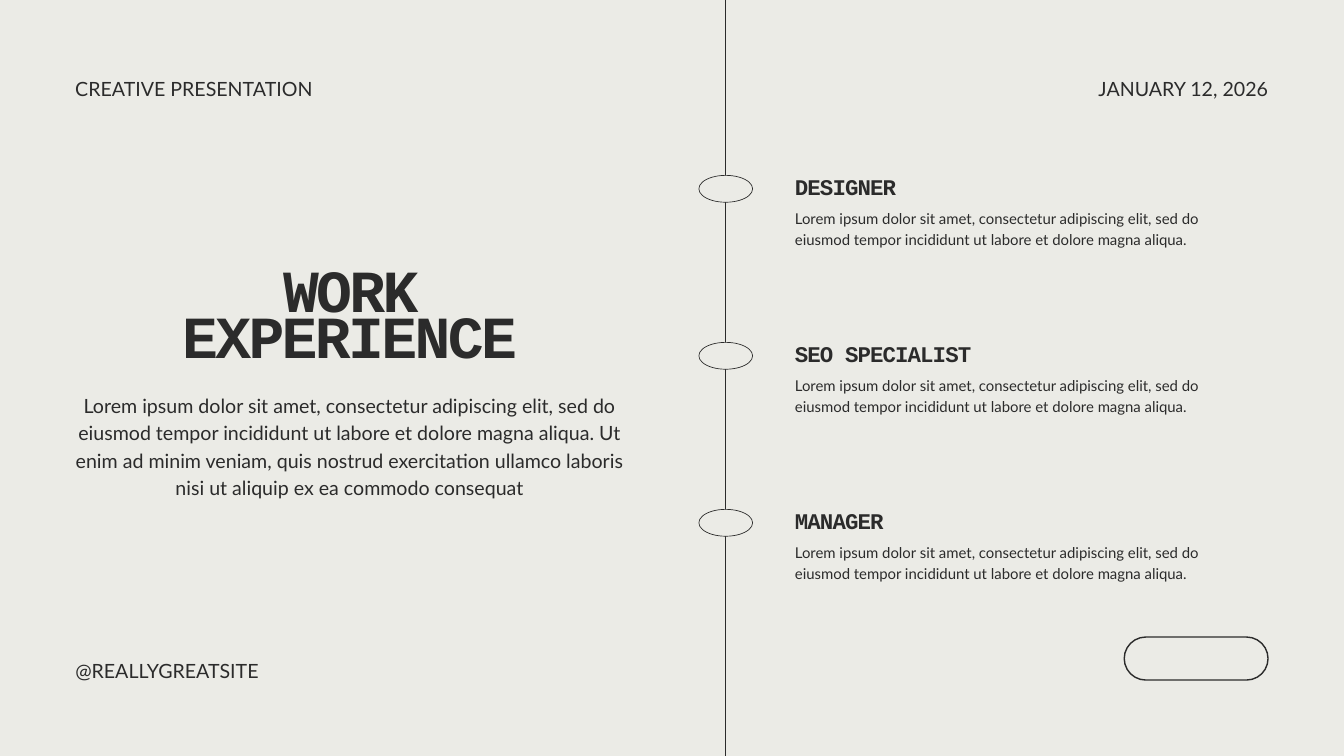
from dataclasses import dataclass

import pptx
import pptx.dml.color
import pptx.enum.shapes
import pptx.enum.text
import pptx.oxml.ns
import pptx.util
from lxml import etree
from pptx.util import Inches

INK = "2B2B2B"
PAPER = "EBEBE6"
ALIGN = pptx.enum.text.PP_ALIGN
SHAPE = pptx.enum.shapes.MSO_SHAPE
LOREM = (
    "Lorem ipsum dolor sit amet, consectetur adipiscing elit, "
    "sed do eiusmod tempor incididunt ut labore et dolore magna aliqua."
)
AXIS_X = 10.8
FIRST_Y = 2.61
STEP_Y = 2.485
JOB_X = 11.83


@dataclass(frozen=True)
class Box:
    x: float
    y: float
    w: float
    h: float

    def lengths(self) -> tuple:
        return Inches(self.x), Inches(self.y), Inches(self.w), Inches(self.h)


@dataclass(frozen=True)
class Style:
    size: float
    leading: float
    font: str = "Lato"
    bold: bool = False
    spacing: float = 0


@dataclass(frozen=True)
class Label:
    text: str
    box: Box
    align: ALIGN = ALIGN.LEFT


LARGE = Style(21, 29.4)
SMALL = Style(16, 22.4)
HEADING = Style(24, 18.7, "Courier New", True, -1)
TITLE = Style(64, 49.9, "Courier New", True, -2.8)

LABELS = [
    Label("CREATIVE PRESENTATION", Box(1.12, 1.08, 4.1, 0.39)),
    Label("JANUARY 12, 2026", Box(14.92, 1.08, 3.95, 0.39), ALIGN.RIGHT),
    Label("@REALLYGREATSITE", Box(1.12, 9.74, 3.95, 0.39)),
]
JOBS = ["DESIGNER", "SEO SPECIALIST", "MANAGER"]


def color(value: str) -> pptx.dml.color.RGBColor:
    return pptx.dml.color.RGBColor.from_string(value)


def write(sp, text: str, style: Style, align: ALIGN = ALIGN.LEFT) -> None:
    tf = sp.text_frame
    tf.word_wrap = True
    tf.auto_size = pptx.enum.text.MSO_AUTO_SIZE.NONE
    tf.vertical_anchor = pptx.enum.text.MSO_ANCHOR.TOP
    tf.margin_left = tf.margin_top = tf.margin_right = tf.margin_bottom = 0
    tf.text = text
    p = tf.paragraphs[0]
    p.alignment = align
    p.line_spacing = pptx.util.Pt(style.leading)
    p.space_before = pptx.util.Pt(0)
    r = p.runs[0]
    r.font.name = style.font
    r.font.size = pptx.util.Pt(style.size)
    r.font.bold = style.bold
    r.font.color.rgb = color(INK)
    if style.spacing:
        r.font._element.set("spc", str(round(style.spacing * 100)))


def add_text(s, label: Label, style: Style) -> None:
    sp = s.shapes.add_textbox(*label.box.lengths())
    write(sp, label.text, style, label.align)


def fill_placeholder(sp, label: Label, style: Style) -> None:
    sp.left, sp.top, sp.width, sp.height = label.box.lengths()
    write(sp, label.text, style, label.align)


def remove_bullet(p) -> None:
    pPr = p._p.get_or_add_pPr()
    pPr.set("marL", "0")
    pPr.set("indent", "0")
    etree.SubElement(pPr, pptx.oxml.ns.qn("a:buNone"))


def add_outline(s, kind: SHAPE, box: Box, width: float):
    sp = s.shapes.add_shape(kind, *box.lengths())
    sp.shadow.inherit = False
    sp.line.color.rgb = color(INK)
    sp.line.width = pptx.util.Pt(width)
    sp.fill.background()
    return sp


def add_axis(s) -> None:
    line = s.shapes.add_connector(
        pptx.enum.shapes.MSO_CONNECTOR.STRAIGHT,
        Inches(AXIS_X), Inches(0), Inches(AXIS_X), Inches(11.25),
    )
    line.line.color.rgb = color(INK)
    line.line.width = pptx.util.Pt(0.75)
    etree.SubElement(line._element.spPr, pptx.oxml.ns.qn("a:effectLst"))


def add_job(s, name: str, y: float) -> None:
    marker = add_outline(s, SHAPE.OVAL, Box(AXIS_X - 0.4, y, 0.8, 0.4), 0.75)
    marker.fill.solid()
    marker.fill.fore_color.rgb = color(PAPER)
    add_text(s, Label(name, Box(JOB_X, y + 0.11, 3.76, 0.29)), HEADING)
    add_text(s, Label(LOREM, Box(JOB_X, y + 0.47, 6.2, 0.59)), SMALL)


def main() -> None:
    prs = pptx.Presentation()
    prs.slide_width = Inches(20)
    prs.slide_height = Inches(11.25)
    s = prs.slides.add_slide(prs.slide_layouts[1])
    s.background.fill.solid()
    s.background.fill.fore_color.rgb = color(PAPER)

    title = Label("WORK EXPERIENCE", Box(1.66, 4.13, 7.08, 1.46), ALIGN.CENTER)
    fill_placeholder(s.shapes.title, title, TITLE)
    summary = Label(
        LOREM + " Ut enim ad minim veniam, quis nostrud exercitation "
        "ullamco laboris nisi ut aliquip ex ea commodo consequat",
        Box(1.12, 5.8, 8.16, 1.61),
        ALIGN.CENTER,
    )
    body = s.placeholders[1]
    fill_placeholder(body, summary, LARGE)
    remove_bullet(body.text_frame.paragraphs[0])

    for label in LABELS:
        add_text(s, label, LARGE)
    pill = add_outline(s, SHAPE.ROUNDED_RECTANGLE, Box(16.73, 9.48, 2.14, 0.64), 1.5)
    pill.adjustments[0] = 0.5

    add_axis(s)
    for i, job in enumerate(JOBS):
        add_job(s, job, FIRST_Y + i * STEP_Y)
    prs.save("out.pptx")


if __name__ == "__main__":
    main()
